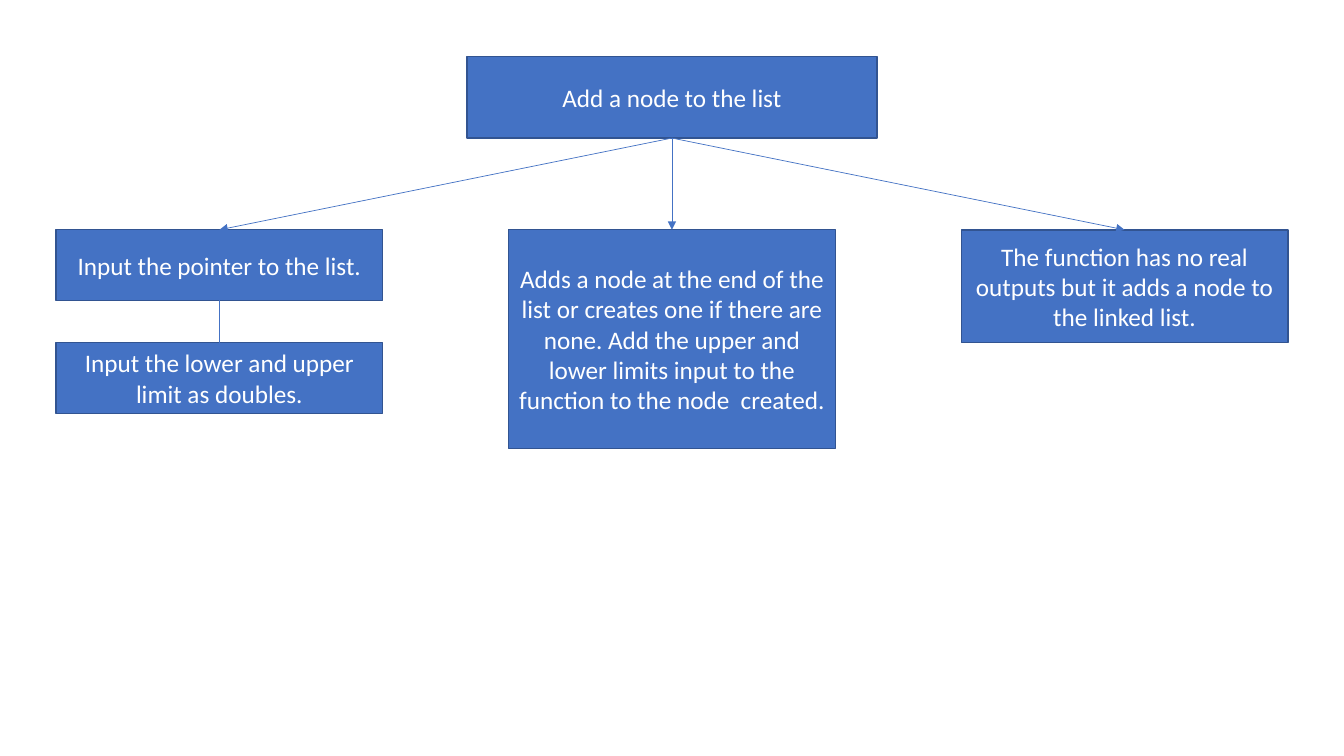
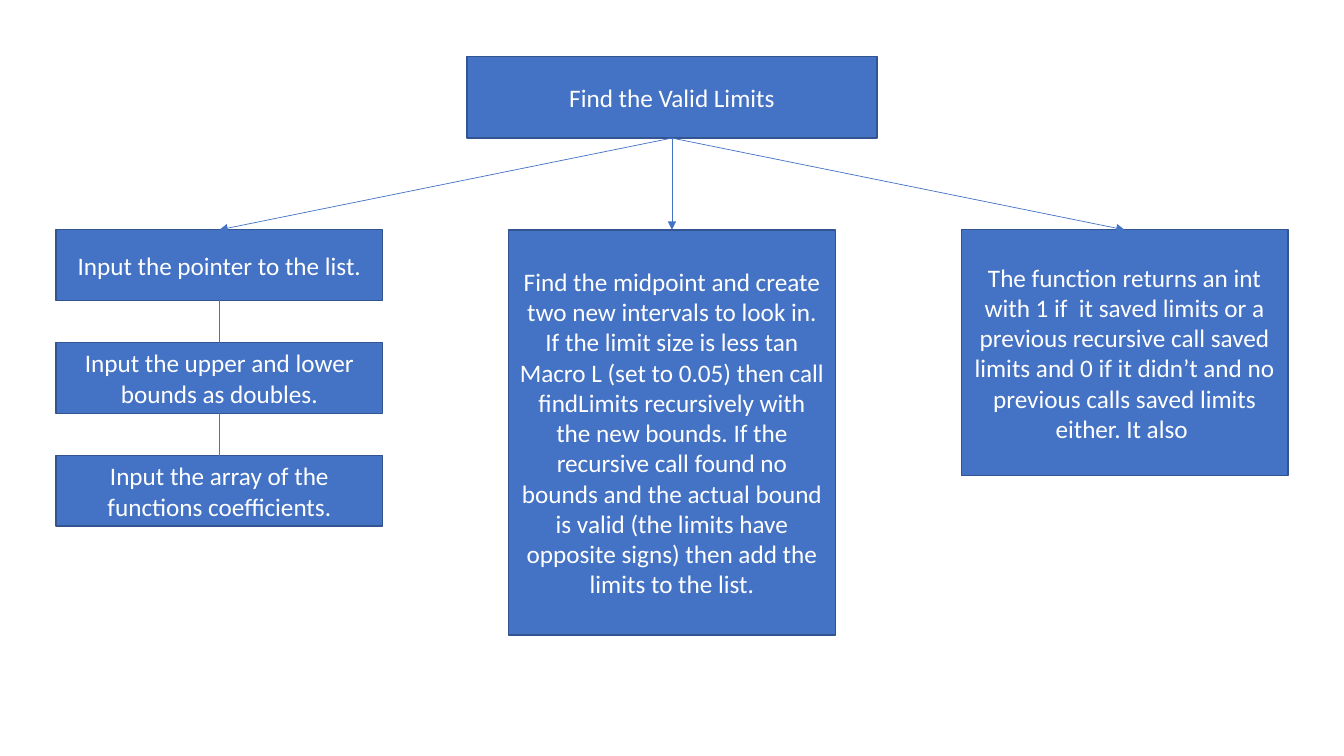
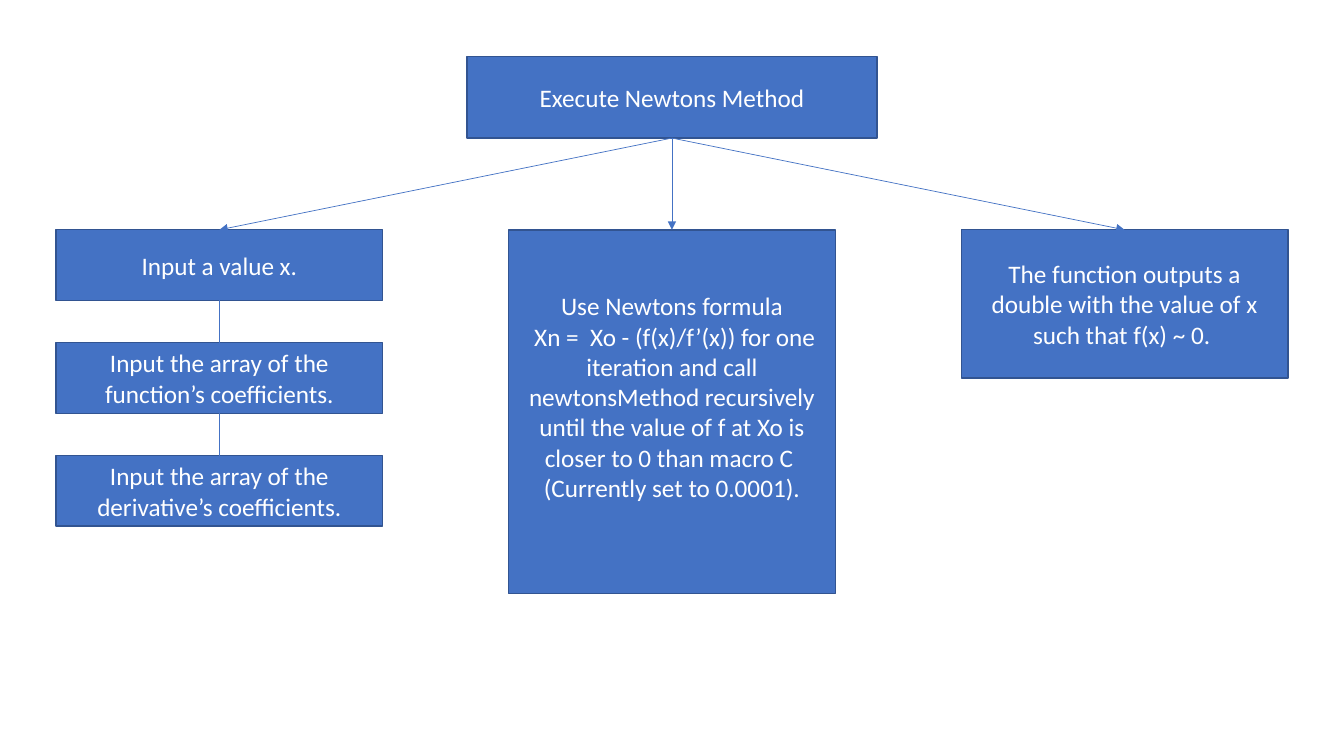
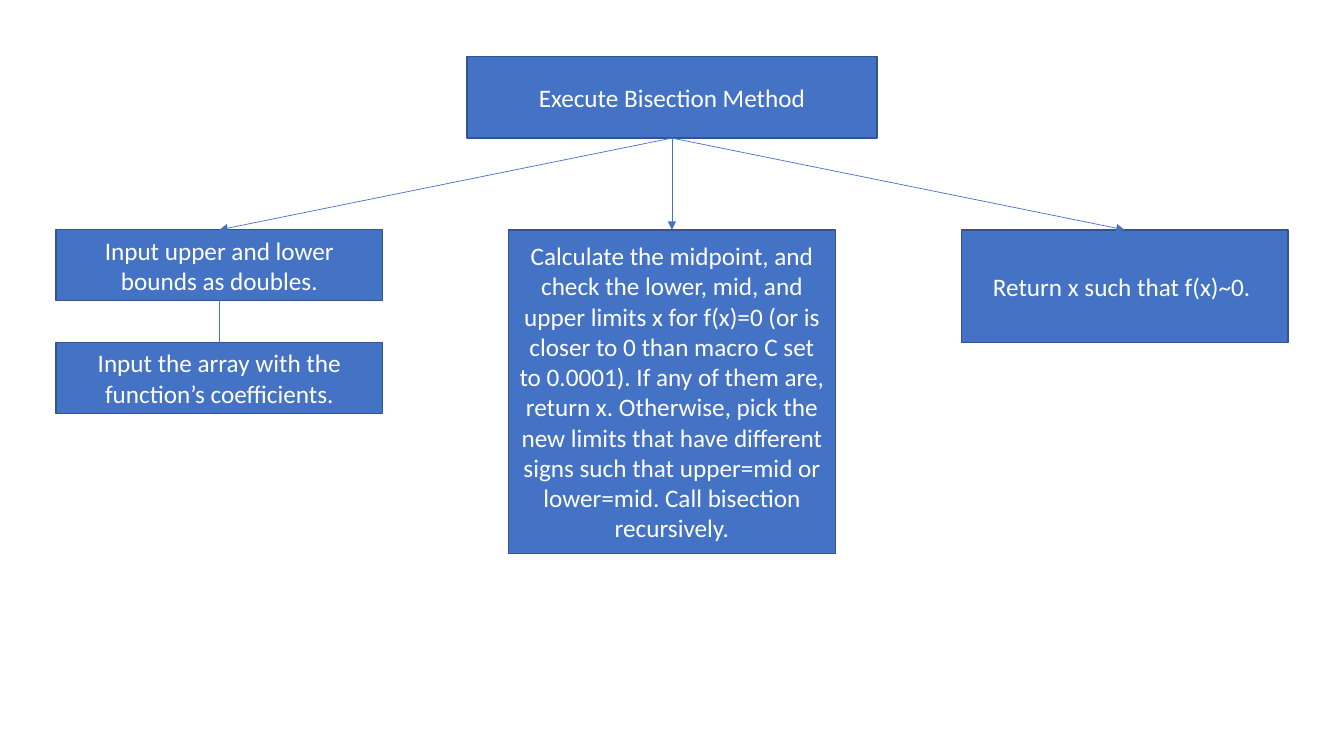
from dataclasses import dataclass

from pptx import Presentation
from pptx.dml.color import RGBColor
from pptx.enum.shapes import MSO_CONNECTOR, MSO_SHAPE
from pptx.enum.text import MSO_ANCHOR, PP_ALIGN
from pptx.oxml.ns import qn
from pptx.util import Inches, Pt
from lxml.etree import SubElement


@dataclass(frozen=True)
class Theme:
    fill: RGBColor = RGBColor.from_string("4472C4")
    border: RGBColor = RGBColor.from_string("325491")
    text: RGBColor = RGBColor.from_string("FFFFFF")
    font: str = "Calibri"
    text_size: Pt = Pt(18)
    border_width: Pt = Pt(1)
    link_width: Pt = Pt(0.5)


theme = Theme()

# Grid, in inches: three columns centred on the slide, input rows at an even pitch
SLIDE_WIDTH, SLIDE_HEIGHT = 13.333, 7.5
CENTRE = SLIDE_WIDTH / 2
COLUMN_PITCH, COLUMN_WIDTH = 4.49, 3.24
INPUT_X, PROCESS_X, OUTPUT_X = (CENTRE + side * COLUMN_PITCH for side in (-1, 0, 1))
TITLE_TOP, TITLE_WIDTH, TITLE_HEIGHT = 0.56, 4.07, 0.81
ROW_TOP, ROW_PITCH, INPUT_HEIGHT = 2.28, 1.12, 0.7
TOP_SITE, BOTTOM_SITE = 0, 2

# One chart per function; space_below lifts the process text off centre
charts = [
    dict(
        title="Add a node to the list",
        inputs=["Input the pointer to the list.",
                "Input the lower and upper limit as doubles."],
        process="Adds a node at the end of the list or creates one if there are none. "
                "Add the upper and lower limits input to the function to the node  created.",
        process_height=2.17,
        output="The function has no real outputs but it adds a node to the linked list.",
        output_height=1.12,
    ),
    dict(
        title="Find the Valid Limits",
        inputs=["Input the pointer to the list.",
                "Input the upper and lower bounds as doubles.",
                "Input the array of the functions coefficients."],
        process="Find the midpoint and create two new intervals to look in. If the limit "
                "size is less tan Macro L (set to 0.05) then call findLimits recursively "
                "with the new bounds. If the recursive call found no bounds and the actual "
                "bound is valid (the limits have opposite signs) then add the limits to "
                "the list.",
        process_height=4.02,
        output="The function returns an int with 1 if  it saved limits or a previous "
               "recursive call saved limits and 0 if it didn’t and no previous calls "
               "saved limits either. It also ",
        output_height=2.44,
    ),
    dict(
        title="Execute Newtons Method",
        inputs=["Input a value x.",
                "Input the array of the function’s coefficients.",
                "Input the array of the derivative’s coefficients."],
        process="Use Newtons formula\n"
                " Xn =  Xo - (f(x)/f’(x)) for one iteration and call newtonsMethod "
                "recursively until the value of f at Xo is closer to 0 than macro C \n"
                "(Currently set to 0.0001).",
        process_height=3.61,
        space_below=0.35,
        output="The function outputs a double with the value of x such that f(x) ~ 0. ",
        output_height=1.47,
    ),
    dict(
        title="Execute Bisection Method",
        inputs=["Input upper and lower bounds as doubles.",
                "Input the array with the function’s coefficients."],
        process="Calculate the midpoint, and check the lower, mid, and upper limits x for "
                "f(x)=0 (or is closer to 0 than macro C set to 0.0001). If any of them "
                "are, return x. Otherwise, pick the new limits that have different signs "
                "such that upper=mid or lower=mid. Call bisection recursively.",
        process_height=3.21,
        output="Return x such that f(x)~0. ",
        output_height=1.12,
    ),
]


def add_box(slide, text, centre, top, height, width=COLUMN_WIDTH, space_below=0.05):
    shape = slide.shapes.add_shape(
        MSO_SHAPE.RECTANGLE, Inches(centre - width / 2), Inches(top),
        Inches(width), Inches(height))
    shape.shadow.inherit = False
    shape.fill.solid()
    shape.fill.fore_color.rgb = theme.fill
    shape.line.color.rgb = theme.border
    shape.line.width = theme.border_width
    text_frame = shape.text_frame
    text_frame.word_wrap = True
    text_frame.vertical_anchor = MSO_ANCHOR.MIDDLE
    text_frame.margin_bottom = Inches(space_below)
    text_frame.text = text
    for paragraph in text_frame.paragraphs:
        paragraph.alignment = PP_ALIGN.CENTER
        for run in paragraph.runs:
            run.font.name = theme.font
            run.font.size = theme.text_size
            run.font.color.rgb = theme.text
    return shape


def link(slide, upper, lower, arrow=False):
    connector = slide.shapes.add_connector(MSO_CONNECTOR.STRAIGHT, 0, 0, 0, 0)
    connector.begin_connect(upper, BOTTOM_SITE)
    connector.end_connect(lower, TOP_SITE)
    connector.line.color.rgb = theme.fill
    connector.line.width = theme.link_width
    properties = connector._element.spPr
    if arrow:
        SubElement(properties.find(qn("a:ln")), qn("a:tailEnd"), type="triangle")
    SubElement(properties, qn("a:effectLst"))


presentation = Presentation()
presentation.slide_width = Inches(SLIDE_WIDTH)
presentation.slide_height = Inches(SLIDE_HEIGHT)
blank_layout = presentation.slide_layouts[6]

for chart in charts:
    slide = presentation.slides.add_slide(blank_layout)

    # Function name
    title = add_box(slide, chart["title"], CENTRE, TITLE_TOP, TITLE_HEIGHT, TITLE_WIDTH)

    # Input, process and output columns
    inputs = [add_box(slide, text, INPUT_X, ROW_TOP + row * ROW_PITCH, INPUT_HEIGHT)
              for row, text in enumerate(chart["inputs"])]
    process = add_box(slide, chart["process"], PROCESS_X, ROW_TOP,
                      chart["process_height"], space_below=chart.get("space_below", 0.05))
    output = add_box(slide, chart["output"], OUTPUT_X, ROW_TOP, chart["output_height"])

    # Arrows from the name, plain lines between inputs
    for column_head in (inputs[0], process, output):
        link(slide, title, column_head, arrow=True)
    for upper, lower in zip(inputs, inputs[1:]):
        link(slide, upper, lower)

presentation.save("out.pptx")
